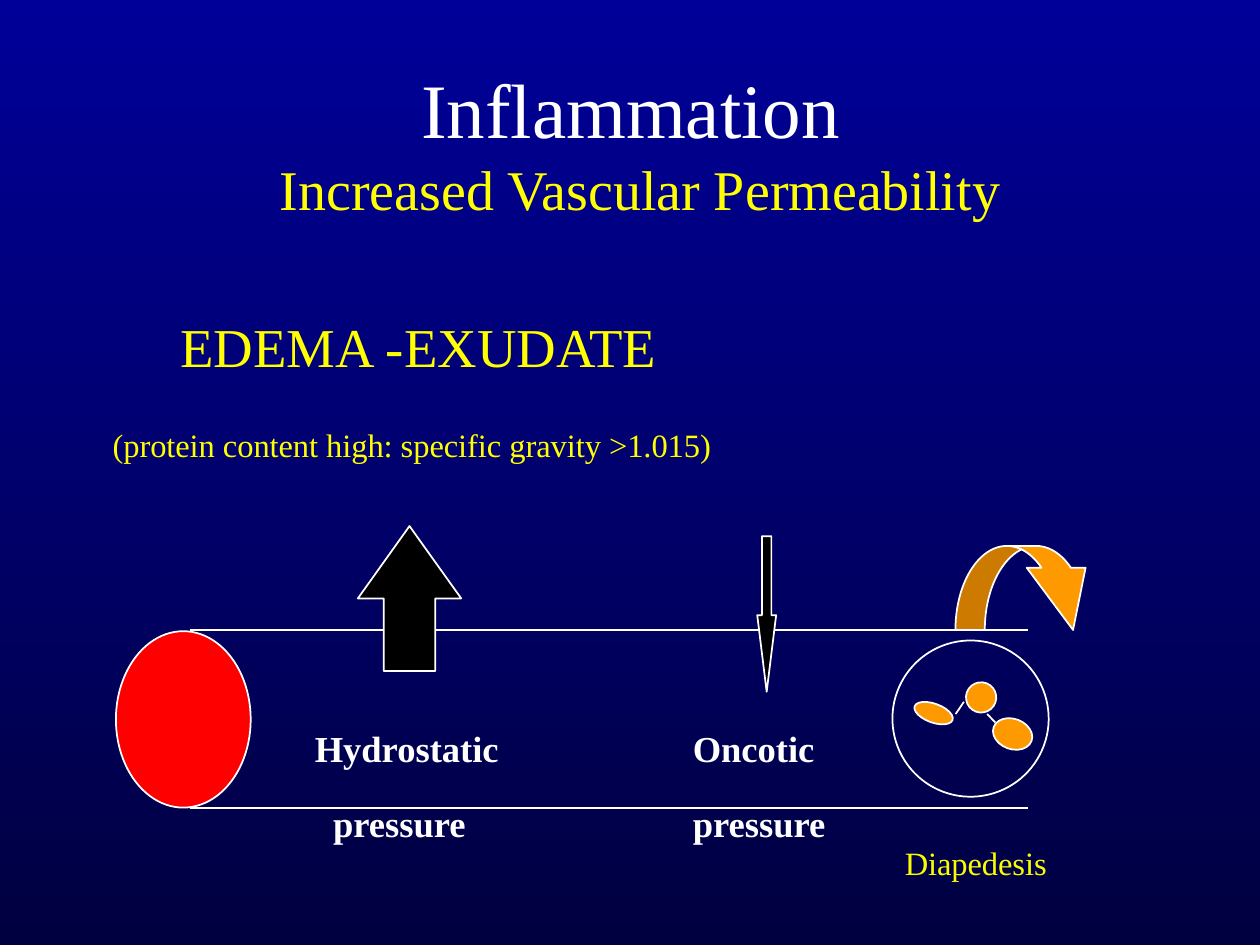
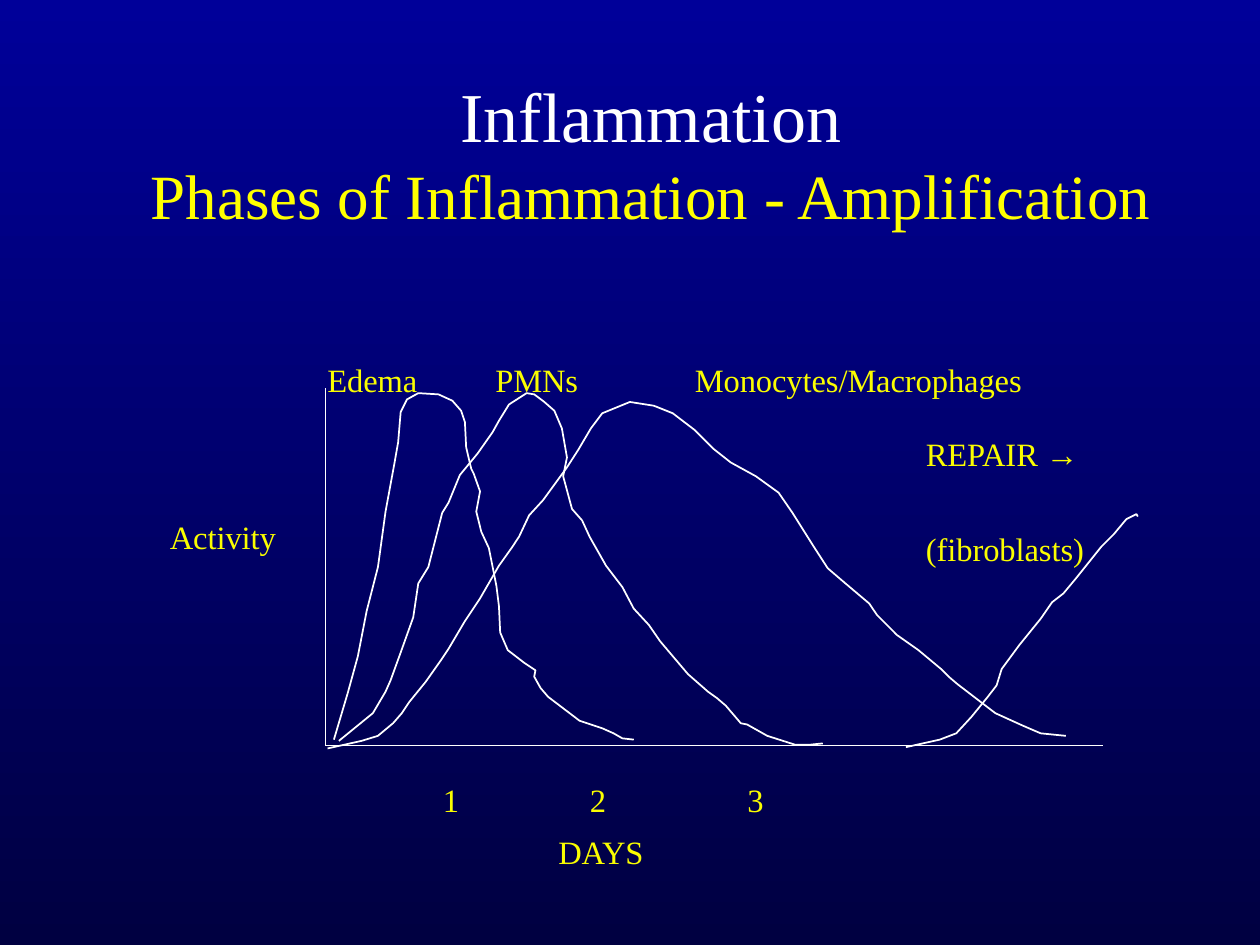
from dataclasses import dataclass

from lxml.etree import SubElement
from pptx import Presentation
from pptx.dml.color import RGBColor
from pptx.enum.shapes import MSO_CONNECTOR, MSO_SHAPE
from pptx.enum.text import MSO_ANCHOR, MSO_AUTO_SIZE, PP_ALIGN
from pptx.oxml.ns import qn
from pptx.util import Inches, Pt


@dataclass(frozen=True)
class Theme:
    """Colours, type sizes and grid shared by the slides."""
    font: str = "Times New Roman"
    white: str = "FFFFFF"
    yellow: str = "FFFF00"
    lemon: str = "FAFD00"
    black: str = "000000"
    blood: str = "FF0000"
    orange: str = "FF9900"
    sky_top: str = "000099"
    sky_bottom: str = "000041"
    label_size: int = 32
    pressure_size: int = 36
    headline_size: int = 54
    raise_percent: int = 30
    line_width: float = 1
    cell: int = Inches(0.1)
    columns: int = 100
    rows: int = 75


THEME = Theme()

EDEMA_CURVE = [
    (26.5, 58.7), (27.6, 55), (28.4, 52.1), (29.1, 48.5), (30, 45), (30.6, 40.6),
    (31.3, 36.8), (31.6, 35.1), (31.8, 32.7), (32.3, 31.7), (33.2, 31.2),
    (34.8, 31.3), (35.9, 31.8), (36.6, 32.6), (36.9, 33.5), (37, 35.5),
    (37.4, 37.2), (37.6, 37.6), (38.1, 39), (37.8, 40.6), (38.2, 42.2),
    (38.8, 43.5), (39.4, 46.5), (39.6, 48.1), (39.7, 50.2), (40.3, 51.6),
    (41.6, 52.6), (42.5, 53.2), (42.4, 53.7), (42.9, 54.6), (43.5, 55.3),
    (46, 57.2), (47.8, 57.8), (48.7, 58.2), (49.4, 58.6), (50.3, 58.7)]
PMN_CURVE = [
    (26.9, 58.8), (29.6, 56.6), (30.6, 54.9), (31, 54), (31.8, 51.8), (32.8, 49),
    (33.2, 46.3), (34, 45), (35.1, 40.7), (35.6, 39.9), (36.5, 37.7), (37.9, 36),
    (39.1, 34.3), (39.6, 33.4), (40.4, 32.1), (41.8, 31.2), (42.4, 31.3),
    (43.2, 31.9), (44, 32.6), (44.6, 34), (45, 36.3), (44.7, 37.8), (45.4, 40.4),
    (46.2, 41.3), (46.8, 42.6), (48.1, 44.9), (49.4, 46.6), (50.3, 48.3),
    (51.5, 49.6), (52.4, 50.9), (54.6, 53.5), (56.2, 54.9), (56.9, 55.4),
    (57.6, 56), (58.8, 57.4), (59.3, 57.5), (60.9, 58.4), (63.1, 59.1),
    (64.3, 59.1), (65.3, 59)]
MONOCYTE_CURVE = [
    (26, 59.4), (28.7, 58.8), (30, 58.4), (31.2, 57.4), (31.9, 56.6), (32.5, 55.7),
    (33.8, 54.1), (35, 52.4), (35.6, 51.5), (36.9, 49.3), (38.1, 47.5),
    (39.6, 44.9), (40.6, 43.5), (41.2, 42.6), (42, 40.9), (43.1, 39.7), (45, 37.1),
    (45.9, 35.7), (46.9, 34), (47.8, 32.8), (50, 31.9), (51.9, 32.2), (53.4, 32.8),
    (55.1, 34.1), (56.6, 35.6), (58, 36.7), (60, 37.8), (61.8, 39.1), (62.9, 40.7),
    (64.6, 43.4), (65.7, 45.1), (67.1, 46.3), (69, 47.9), (69.6, 48.8),
    (71.2, 50.4), (72.9, 51.6), (74.7, 53.1), (75.3, 53.7), (76, 54.3), (79, 56.6),
    (81.2, 57.6), (82.6, 58.2), (84.6, 58.4)]
REPAIR_CURVE = [
    (71.9, 59.3), (74.6, 58.7), (75.9, 58.2), (77.1, 56.9), (78.4, 55.3),
    (79.1, 54.4), (79.5, 53.1), (80.9, 51.2), (82.6, 49.1), (83.5, 47.8),
    (84.4, 47.1), (85.4, 45.9), (87.4, 43.4), (88.4, 42.4), (89.4, 41.2),
    (90.2, 40.8), (90.3, 41)]


def cells(*values):
    """Turn grid columns and rows into lengths."""
    return [round(value * THEME.cell) for value in values]


def colour(code):
    """Read a hexadecimal colour."""
    return RGBColor.from_string(code)


def add_slide(presentation):
    """Add a blank slide with the shared blue gradient."""
    slide = presentation.slides.add_slide(presentation.slide_layouts[6])
    fill = slide.background.fill
    fill.gradient()
    fill.gradient_angle = 270
    for stop, shade in zip(fill.gradient_stops, (THEME.sky_top, THEME.sky_bottom)):
        stop.color.rgb = colour(shade)
    return slide


def format_run(run, size, shade, bold=False, raised=False):
    """Set the font of a run and lift it when it is superscript."""
    run.font.name = THEME.font
    run.font.size = Pt(size)
    run.font.bold = bold
    run.font.color.rgb = colour(shade)
    if raised:
        run.font._element.set("baseline", str(THEME.raise_percent * 1000))


def add_title(slide, left, top, heading, heading_size, subtitle, subtitle_size):
    """Add a centred white heading with a yellow second line."""
    text_frame = slide.shapes.add_textbox(*cells(left, top, 85, 12.5)).text_frame
    text_frame.word_wrap = True
    text_frame.vertical_anchor = MSO_ANCHOR.MIDDLE
    paragraph = text_frame.paragraphs[0]
    paragraph.text = f"{heading}\v{subtitle}"
    paragraph.alignment = PP_ALIGN.CENTER
    format_run(paragraph.runs[0], heading_size, THEME.white)
    format_run(paragraph.runs[1], subtitle_size, THEME.yellow)


def add_label(slide, box, lines, shade=THEME.lemon, sizes=(THEME.label_size,) * 2,
              bold=False, gap=16, indents=(0, 0), inset=0.5):
    """Add raised text, one paragraph a line, each with its own indent."""
    text_frame = slide.shapes.add_textbox(*cells(*box)).text_frame
    text_frame.word_wrap = True
    text_frame.auto_size = MSO_AUTO_SIZE.SHAPE_TO_FIT_TEXT
    text_frame.margin_top = cells(inset)[0]
    text_frame.text = "\n".join(lines)
    for index, paragraph in enumerate(text_frame.paragraphs):
        if index:
            paragraph.space_before = Pt(gap)
        if indents[index]:
            properties = paragraph._p.get_or_add_pPr()
            properties.set("marL", str(cells(indents[index])[0]))
            properties.set("indent", "0")
        format_run(paragraph.runs[0], sizes[index], shade, bold, raised=True)


def outline(shape):
    """Give a shape or connector the shared thin white line."""
    shape.line.color.rgb = colour(THEME.white)
    shape.line.width = Pt(THEME.line_width)


def add_figure(slide, kind, box, fill=None, rotation=0, adjustments=()):
    """Add an outlined preset shape, hollow unless a fill is given."""
    shape = slide.shapes.add_shape(kind, *cells(*box))
    shape.shadow.inherit = False
    shape.rotation = rotation
    for index, value in enumerate(adjustments):
        shape.adjustments[index] = value
    if fill:
        shape.fill.solid()
        shape.fill.fore_color.rgb = colour(fill)
    else:
        shape.fill.background()
    outline(shape)


def add_line(slide, *ends):
    """Add a straight white line between two grid points."""
    connector = slide.shapes.add_connector(MSO_CONNECTOR.STRAIGHT, *cells(*ends))
    outline(connector)
    SubElement(connector._element.spPr, qn("a:effectLst"))


def add_curve(slide, points):
    """Draw an open activity curve through grid points."""
    start, *rest = [cells(*point) for point in points]
    builder = slide.shapes.build_freeform(*start)
    builder.add_line_segments(rest, close=False)
    curve = builder.convert_to_shape()
    curve.shadow.inherit = False
    curve.fill.background()
    outline(curve)


def add_vessel(slide):
    """Draw the vessel and its pressure arrows."""
    add_figure(slide, MSO_SHAPE.OVAL, (9.2, 50.1, 10.7, 14), THEME.blood)
    for wall in (50, 64.15):
        add_line(slide, 15.1, wall, 81.6, wall)
    add_figure(slide, MSO_SHAPE.DOWN_ARROW, (60.1, 42.55, 1.5, 12.35), THEME.black,
               adjustments=(0.5, 4.05))
    add_figure(slide, MSO_SHAPE.UP_ARROW, (28.4, 41.75, 8.2, 11.5), THEME.black,
               adjustments=(0.5, 0.7))


def add_escaping_cell(slide):
    """Draw the cell with its linked lobes and the arrow leaving the vessel."""
    add_figure(slide, MSO_SHAPE.OVAL, (70.83, 50.83, 12.4, 12.4), rotation=290)
    for lobe in ((73.35, 55, 1.5, 3.2), (76.67, 54.15, 2.4, 2.4), (79.17, 56.65, 2.4, 3.2)):
        add_figure(slide, MSO_SHAPE.OVAL, lobe, THEME.orange, rotation=290)
    add_line(slide, 75.85, 56.67, 76.5, 55.7)
    add_line(slide, 78.35, 56.67, 79, 57.35)
    add_figure(slide, MSO_SHAPE.CURVED_DOWN_ARROW, (75.83, 43.33, 11.67, 6.67),
               THEME.orange, adjustments=(0.35, 0.7, 0.74))


def build_permeability(presentation):
    """Build the slide on vascular permeability."""
    slide = add_slide(presentation)
    add_vessel(slide)
    add_label(slide, (6.7, 21.7, 93.3, 15.3),
              ["EDEMA -EXUDATE", "(protein content high: specific gravity >1.015)"],
              THEME.yellow, (THEME.headline_size, THEME.label_size), gap=2,
              indents=(6.65, 1.25), inset=2.2)
    for left, width, word, indent in ((24, 18.8, "Hydrostatic", 1.45),
                                      (54, 14.2, "Oncotic", 0)):
        add_label(slide, (left, 56.5, width, 9), [word, "pressure"], THEME.white,
                  (THEME.pressure_size,) * 2, bold=True, gap=0, indents=(0, indent))
    add_title(slide, 8.33, 5, "Inflammation ", 44, "Increased Vascular Permeability", 32)
    add_escaping_cell(slide)
    add_label(slide, (70.83, 65.85, 23.3, 6.3), ["Diapedesis"])


def build_phases(presentation):
    """Build the slide on the phases of inflammation."""
    slide = add_slide(presentation)
    add_title(slide, 9.17, 5.83, "Inflammation", 40,
              "Phases of Inflammation - Amplification", 36)
    add_line(slide, 25.83, 30.83, 25.83, 59.17)
    add_line(slide, 25.83, 59.17, 87.5, 59.17)
    for points in (EDEMA_CURVE, PMN_CURVE, MONOCYTE_CURVE, REPAIR_CURVE):
        add_curve(slide, points)
    for left, top, width, text in (
            (54.17, 27.55, 41.7, "Monocytes/Macrophages"), (38.33, 27.55, 13.3, "PMNs"),
            (25, 27.55, 14.2, "Edema"), (43.33, 65, 25.8, "DAYS"),
            (12.5, 40, 19.2, "Activity"), (34.17, 60.87, 6.7, "1"),
            (45.83, 60.87, 8.3, "2"), (58.33, 60.87, 7.5, "3")):
        add_label(slide, (left, top, width, 4.5), [text])
    add_label(slide, (72.5, 33.42, 16.7, 9.8), ["REPAIR →", "(fibroblasts)"])


def main():
    """Build and save the presentation."""
    presentation = Presentation()
    presentation.slide_width, presentation.slide_height = cells(THEME.columns, THEME.rows)
    build_permeability(presentation)
    build_phases(presentation)
    presentation.save("out.pptx")


if __name__ == "__main__":
    main()
